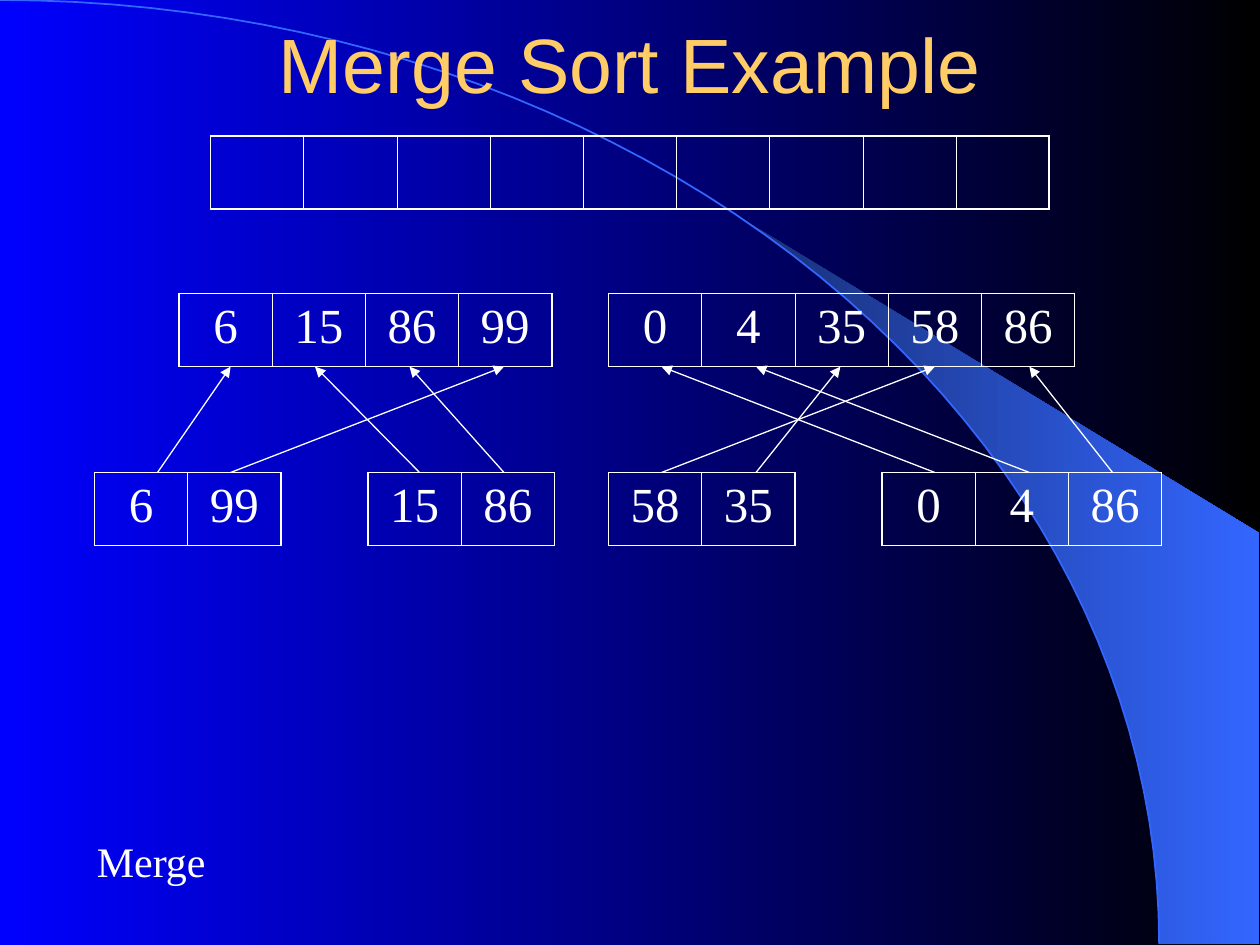
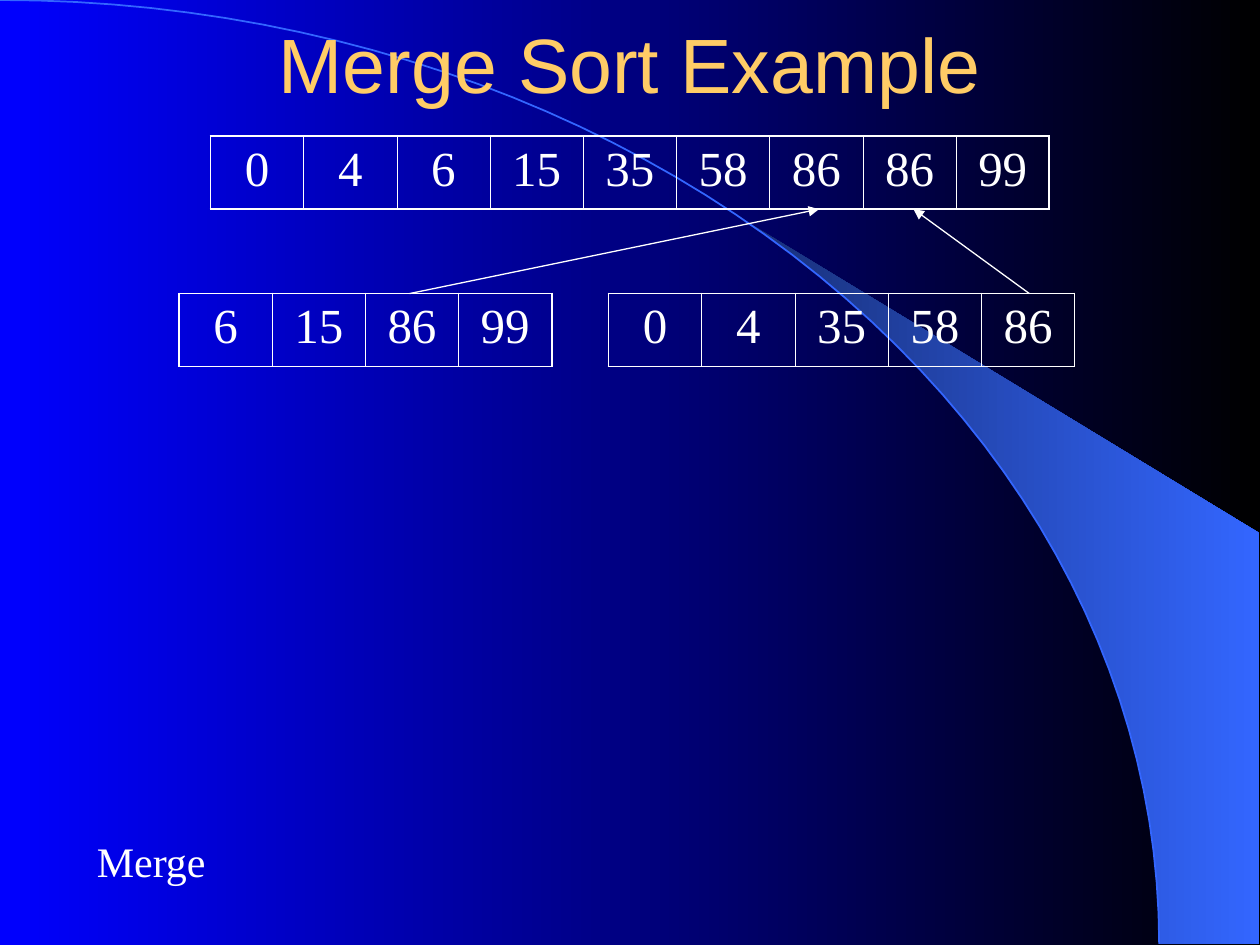
"""Build two slides that show the last merge steps of a merge sort."""
import math

import pptx
import pptx.dml.color
import pptx.enum.shapes
import pptx.enum.text
import pptx.oxml.ns
import pptx.util
from lxml import etree

Inches, Pt = pptx.util.Inches, pptx.util.Pt
qn = pptx.oxml.ns.qn
ALIGN = pptx.enum.text.PP_ALIGN

WHITE, GOLD, SKY = "FFFFFF", "FFCC66", "3366FF"
NAVY, BLUE, BLACK = "182F76", "0000FF", "000000"
SERIF, SANS = "Times New Roman", "Arial"

TITLE, STEP = "Merge Sort Example", "Merge"
CELL_W, CELL_H = 0.74, 0.58
TOP, MIDDLE, BOTTOM = 1.08, 2.33, 3.75
ARC_W, ARC_H = 9.2, 7.49
FAN_START, FAN_RIGHT, FAN_TOP = 39.8, 9.99, 4.23

HALVES = [
    (1.42, MIDDLE, ["6", "15", "86", "99"]),
    (4.83, MIDDLE, ["0", "4", "35", "58", "86"]),
]
QUARTERS = [
    (0.75, BOTTOM, ["6", "99"]),
    (2.92, BOTTOM, ["15", "86"]),
    (4.83, BOTTOM, ["58", "35"]),
    (7, BOTTOM, ["0", "4", "86"]),
]
SORTED = ["0", "4", "6", "15", "35", "58", "86", "86", "99"]

SLIDES = [
    {
        "arrays": [(1.67, TOP, [""] * len(SORTED))] + HALVES + QUARTERS,
        "rows": (BOTTOM, MIDDLE),
        "arrows": [(1.25, 1.83), (3.33, 2.5), (1.83, 4), (4, 3.25), (5.25, 7.42),
                   (7.42, 5.25), (8.17, 6), (6, 6.67), (8.83, 8.17)],
    },
    {
        "arrays": [(1.67, TOP, SORTED)] + HALVES,
        "rows": (MIDDLE, TOP),
        "arrows": [(3.25, 6.5), (8.17, 7.25)],
    },
]


def rgb(color):
    return pptx.dml.color.RGBColor.from_string(color)


def shade(fill, start, end):
    fill.gradient()
    fill.gradient_angle = 0
    for stop, color, position in zip(fill.gradient_stops, (start, end), (0, 1)):
        stop.color.rgb = rgb(color)
        stop.position = position


def write(tf, text, size, font, color, align, before=0):
    p = tf.paragraphs[0]
    p.text = text
    p.alignment = align
    p.space_before = Pt(before)
    p.font.size, p.font.name = Pt(size), font
    p.font.color.rgb = rgb(color)


def arc(first):
    """Return points on the quarter ellipse from the given angle to 90 degrees."""
    steps = 48
    angles = [math.radians(first + (90 - first) * i / steps) for i in range(steps + 1)]
    return [(ARC_W * math.sin(a), ARC_H * (1 - math.cos(a))) for a in angles]


def add_outline(s, points, close):
    points = [(Inches(x), Inches(y)) for x, y in points]
    builder = s.shapes.build_freeform(*points[0])
    builder.add_line_segments(points[1:], close=close)
    sp = builder.convert_to_shape()
    sp.shadow.inherit = False
    return sp


def add_backdrop(s):
    """Draw the fan and the arc, and hand them to the layout of the slide."""
    shade(s.slide_layout.slide_master.background.fill, BLUE, BLACK)
    corner = [(FAN_RIGHT, ARC_H), (FAN_RIGHT, FAN_TOP)]
    fan = add_outline(s, corner + arc(FAN_START), True)
    shade(fan.fill, NAVY, SKY)
    fan.line.fill.background()
    curve = add_outline(s, arc(0), False)
    curve.fill.background()
    curve.line.color.rgb = rgb(SKY)
    curve.line.width = Pt(1)
    for sp in (fan, curve):
        s.slide_layout.shapes.element.append(sp.element)


def add_border(cell, side, width):
    ln = etree.SubElement(cell._tc.get_or_add_tcPr(), qn(f"a:ln{side}"), w=str(Pt(width)))
    fill = etree.SubElement(ln, qn("a:solidFill"))
    etree.SubElement(fill, qn("a:srgbClr"), val=WHITE)


def add_array(s, left, top, values):
    n = len(values)
    table = s.shapes.add_table(1, n, Inches(left), Inches(top),
                               Inches(CELL_W * n), Inches(CELL_H)).table
    table.first_row = table.horz_banding = False
    for i, value in enumerate(values):
        table.columns[i].width = Inches(CELL_W)
        cell = table.cell(0, i)
        write(cell.text_frame, value, 28, SERIF, WHITE, ALIGN.CENTER, 7)
        outer = {"L": i == 0, "R": i == n - 1, "T": True, "B": True}
        for side, thick in outer.items():
            add_border(cell, side, 1.08 if thick else 0.45)
        cell.fill.background()


def add_arrow(s, x1, y1, x2, y2):
    c = s.shapes.add_connector(pptx.enum.shapes.MSO_CONNECTOR.STRAIGHT,
                               Inches(x1), Inches(y1), Inches(x2), Inches(y2))
    c.line.color.rgb = rgb(WHITE)
    c.line.width = Pt(0.75)
    etree.SubElement(c.line._get_or_add_ln(), qn("a:tailEnd"), type="triangle")
    etree.SubElement(c.element.spPr, qn("a:effectLst"))


def add_title(s):
    title = s.shapes.title
    title.left, title.top = Inches(0.75), Inches(0)
    title.width, title.height = Inches(8.5), Inches(1)
    title.text_frame.vertical_anchor = pptx.enum.text.MSO_ANCHOR.MIDDLE
    write(title.text_frame, TITLE, 44, SANS, GOLD, ALIGN.CENTER)


def add_step(s):
    tf = s.shapes.add_textbox(Inches(0.67), Inches(6.58), Inches(5.08), Inches(0.5)).text_frame
    tf.word_wrap = True
    write(tf, STEP, 24, SERIF, WHITE, ALIGN.LEFT, 15)


def main():
    prs = pptx.Presentation()
    prs.slide_width, prs.slide_height = Inches(10), Inches(7.5)
    layout = prs.slide_layouts[5]
    for sp in list(layout.placeholders)[1:]:
        layout.shapes.element.remove(sp.element)
    for i, content in enumerate(SLIDES):
        s = prs.slides.add_slide(layout)
        if i == 0:
            add_backdrop(s)
        add_title(s)
        for array in content["arrays"]:
            add_array(s, *array)
        add_step(s)
        lower, upper = content["rows"]
        for start, end in content["arrows"]:
            add_arrow(s, start, lower, end, upper + CELL_H)
    prs.save("out.pptx")


if __name__ == "__main__":
    main()
